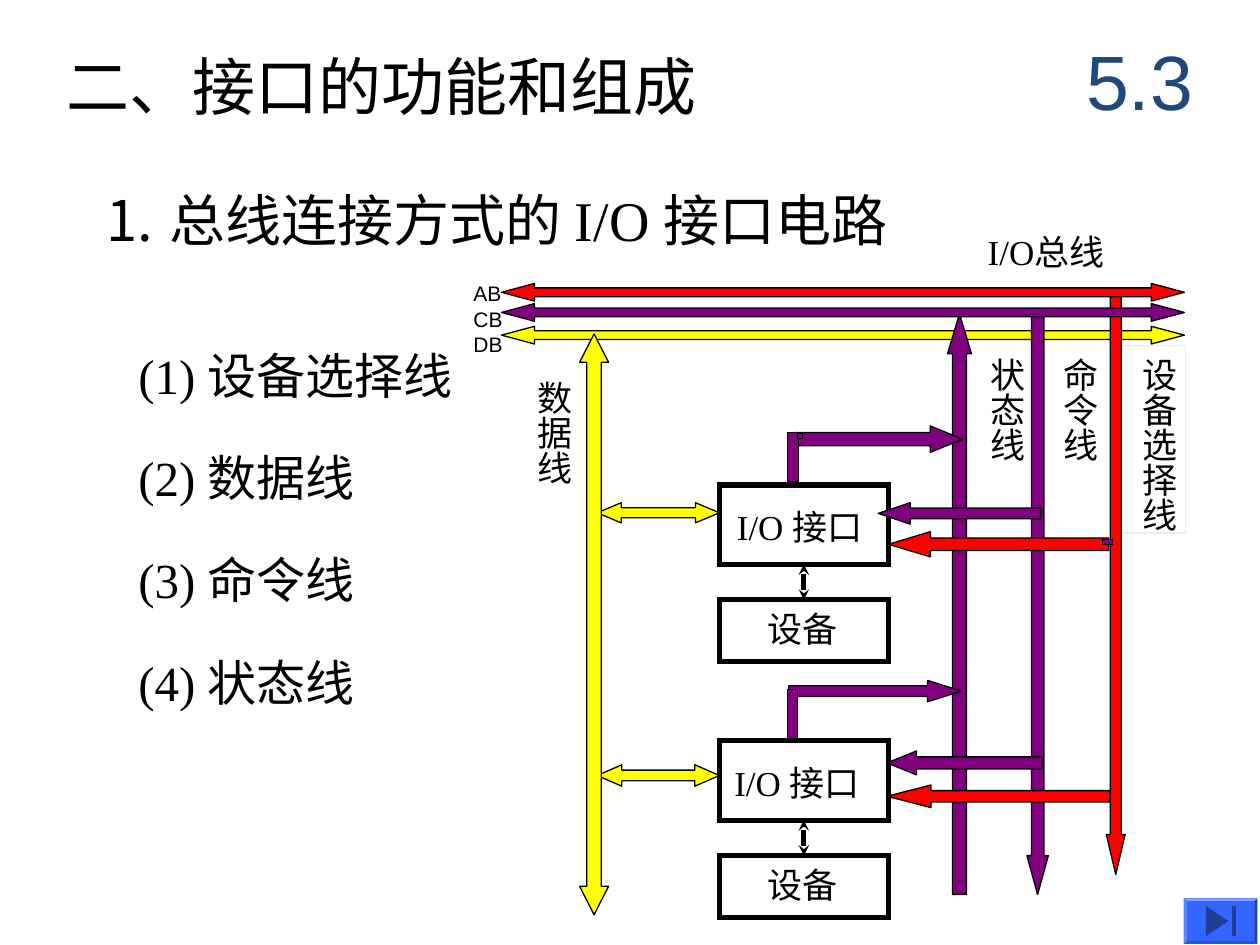
"""Build the slide on I/O interface circuits joined by a bus."""
from dataclasses import dataclass

from lxml import etree
from pptx import Presentation
from pptx.dml.color import RGBColor
from pptx.enum.shapes import MSO_CONNECTOR, MSO_SHAPE
from pptx.enum.text import MSO_ANCHOR, MSO_AUTO_SIZE, PP_ALIGN
from pptx.oxml.ns import qn
from pptx.shapes.autoshape import Shape
from pptx.shapes.shapetree import SlideShapes
from pptx.util import Inches, Pt

RECTANGLE = MSO_SHAPE.RECTANGLE
BOTH_WAYS = MSO_SHAPE.LEFT_RIGHT_ARROW
LEFTWARD = MSO_SHAPE.LEFT_ARROW
UPWARD = MSO_SHAPE.UP_ARROW
STRAIGHT = MSO_CONNECTOR.STRAIGHT
TOP, MIDDLE = MSO_ANCHOR.TOP, MSO_ANCHOR.MIDDLE
LEFT, CENTER = PP_ALIGN.LEFT, PP_ALIGN.CENTER
FIXED = MSO_AUTO_SIZE.NONE

BLACK = RGBColor(0x00, 0x00, 0x00)
WHITE = RGBColor(0xFF, 0xFF, 0xFF)
IVORY = RGBColor(0xEE, 0xEC, 0xE1)
NAVY = RGBColor(0x1F, 0x49, 0x7D)
YELLOW = RGBColor(0xFF, 0xFF, 0x00)
PURPLE = RGBColor(0x80, 0x00, 0x80)
RED = RGBColor(0xFF, 0x00, 0x00)
BUTTON_FACE = RGBColor(0x33, 0x66, 0xFF)
BUTTON_ICON = RGBColor(0x1F, 0x3D, 0x99)
BEVELS = (RGBColor(0x84, 0xA3, 0xFF), RGBColor(0x1F, 0x3D, 0x99),
          RGBColor(0x29, 0x52, 0xCC), RGBColor(0x5C, 0x85, 0xFF))

SERIF, SANS = "Times New Roman", "Arial"
CELL = Inches(0.1)
COLUMNS, ROWS = 100, 75


@dataclass(frozen=True)
class Label:
    """Text in a frame measured in grid columns and rows."""
    text: str
    column: float
    row: float
    width: float
    height: float
    size: int = 20
    outline: RGBColor | None = WHITE
    vertical: bool = False
    font: str = SERIF
    color: RGBColor = BLACK
    align: PP_ALIGN = LEFT
    anchor: MSO_ANCHOR = TOP
    wrap: bool = False
    numbered: bool = False


@dataclass(frozen=True)
class Block:
    """Filled arrow or bar measured in grid columns and rows."""
    kind: MSO_SHAPE
    column: float
    row: float
    width: float
    height: float
    color: RGBColor
    adjustments: tuple[float, ...] = ()
    rotation: int = 0


@dataclass(frozen=True)
class Unit:
    """Interface with its device below."""
    row: float
    caption_column: float


LINES = [("设备选择线", 27.8), ("数据线", 20.1), ("命令线", 20.1), ("状态线", 20.1)]
LABELS = [
    Label("数据线", 40.8, 29.2, 5.3, 9.4, vertical=True),
    Label("AB\nCB\nDB", 36.6, 21.8, 4.3, 7, 12, font=SANS),
    Label("设备选择线", 88.8, 27.4, 5.3, 14.9, outline=IVORY, vertical=True),
    Label("命令线", 82.6, 27.4, 5.3, 9.4, vertical=True),
    Label("状态线", 76.8, 27.4, 5.3, 9.4, vertical=True),
    Label("二、接口的功能和组成", 4.3, 3.3, 52, 7, 36, None),
    *(Label(f"({i + 1}) {name}", 10, 26.9 + 8.13 * i, width, 5.7, 28, None)
      for i, (name, width) in enumerate(LINES)),
    Label("总线连接方式的 I/O 接口电路", 7.5, 14.2, 66.7, 6.4, 32, None,
          wrap=True, numbered=True),
    Label("5.3", 84.2, 1.7, 12.5, 9.2, 44, None, font=SANS, color=NAVY,
          align=CENTER, anchor=MIDDLE, wrap=True),
    Label("I/O总线", 77.4, 17.8, 11.9, 4.4),
]
UNITS = [Unit(58.8, 57.3), Unit(38.5, 57.5)]
DATA_BUS = Block(BOTH_WAYS, 39.8, 25.9, 54.2, 1.4, YELLOW, (0.5, 1.87))
BLOCKS = [
    Block(UPWARD, 75.2, 24.9, 1.9, 46.1, PURPLE, (0.58, 1.67)),
    Block(UPWARD, 81.5, 24.9, 1.7, 46.1, PURPLE, (0.58, 1.82), 180),
    Block(UPWARD, 87.8, 23.3, 1.5, 46.1, RED, (0.58, 2.12), 180),
    Block(LEFTWARD, 70.4, 59.6, 12.3, 1.9, PURPLE, (0.5, 1.23)),
    Block(LEFTWARD, 70.4, 62.3, 17.7, 1.8, RED, (0.5, 1.94)),
    Block(LEFTWARD, 69.7, 39.9, 12.9, 1.7, PURPLE, (0.5, 1.49)),
    Block(LEFTWARD, 70.5, 42.2, 17.5, 2, RED, (0.5, 1.67)),
    Block(LEFTWARD, 62.6, 54, 13.7, 1.7, PURPLE, (0.5, 1.58), 180),
    Block(RECTANGLE, 62.5, 54.7, 0.8, 3.9, PURPLE),
    Block(LEFTWARD, 63, 33.8, 13.4, 2.1, PURPLE, (0.5, 1.23), 180),
    Block(RECTANGLE, 62.5, 34.3, 0.9, 3.9, PURPLE),
    Block(BOTH_WAYS, 47.4, 39.9, 9.7, 1.6, YELLOW, (0.5, 1.19)),
    Block(BOTH_WAYS, 47.4, 60.7, 9.7, 1.7, YELLOW, (0.5, 1.15)),
    Block(RECTANGLE, 87.5, 42.8, 0.8, 0.4, PURPLE),
    Block(RECTANGLE, 63.3, 34.4, 0.4, 0.4, PURPLE, (), 90),
    Block(BOTH_WAYS, 24.1, 48.4, 46.1, 2.3, YELLOW, (0.5, 0.98), 90),
    Block(BOTH_WAYS, 39.8, 24.1, 54.2, 1.4, PURPLE, (0.5, 1.87)),
    Block(BOTH_WAYS, 39.8, 22.5, 54.2, 1.4, RED, (0.5, 1.87)),
]


def grid(*cells: float) -> list[int]:
    """Turn grid counts into slide lengths."""
    return [round(cell * CELL) for cell in cells]


def draw_label(shapes: SlideShapes, label: Label) -> None:
    """Draw one text frame, leaving slack at the end of unwrapped lines."""
    place = grid(label.column, label.row, label.width, label.height)
    if label.outline is None:
        holder = shapes.add_textbox(*place)
    else:
        holder = shapes.add_shape(RECTANGLE, *place)
        holder.shadow.inherit = False
        holder.fill.background()
        holder.line.color.rgb = label.outline
        holder.line.width = Pt(0.75)
    frame = holder.text_frame
    frame.word_wrap = label.wrap
    frame.auto_size = FIXED
    frame.vertical_anchor = label.anchor
    frame.margin_top, frame.margin_bottom = grid(0.5, 0 if label.vertical else 0.5)
    if label.vertical:
        frame.margin_left, frame.margin_right = grid(0.5, 0.5)
        frame._txBody.bodyPr.set("vert", "eaVert")
    else:
        frame.margin_left, frame.margin_right = grid(1, 1 if label.wrap else 0)
    for index, line in enumerate(label.text.split("\n")):
        paragraph = frame.add_paragraph() if index else frame.paragraphs[0]
        paragraph.alignment = label.align
        if label.numbered:
            properties = paragraph._p.get_or_add_pPr()
            properties.set("marL", str(Inches(0.5)))
            properties.set("indent", str(-Inches(0.5)))
            etree.SubElement(properties, qn("a:buAutoNum"), type="arabicPeriod")
        run = paragraph.add_run()
        run.text = line
        run.font.size = Pt(label.size)
        run.font.name = label.font
        run.font.color.rgb = label.color


def draw_block(shapes: SlideShapes, block: Block) -> None:
    """Draw one filled arrow or bar."""
    body = shapes.add_shape(block.kind, *grid(block.column, block.row, block.width, block.height))
    body.shadow.inherit = False
    body.fill.solid()
    body.fill.fore_color.rgb = block.color
    body.line.color.rgb = BLACK
    body.line.width = Pt(0.75)
    body.rotation = block.rotation
    for index, value in enumerate(block.adjustments):
        body.adjustments[index] = value


def draw_frame(shapes: SlideShapes, row: float, height: float) -> Shape:
    """Draw the heavy square-cornered frame of an interface or a device."""
    frame = shapes.add_shape(RECTANGLE, *grid(57.1, row, 13.4, height))
    frame.shadow.inherit = False
    frame.fill.background()
    frame.line.color.rgb = BLACK
    frame.line.width = Pt(3)
    etree.SubElement(frame.line._get_or_add_ln(), qn("a:miter"), lim="800000")
    return frame


def draw_unit(shapes: SlideShapes, unit: Unit) -> None:
    """Draw an interface, its device and the link between them."""
    draw_label(shapes, Label("I/O 接口", unit.caption_column, unit.row + 1.15, 12.6, 4.4))
    interface = draw_frame(shapes, unit.row, 6.3)
    draw_label(shapes, Label("设备", 59.9, unit.row + 9.25, 7.5, 4.4))
    device = draw_frame(shapes, unit.row + 9.1, 4.9)
    link = shapes.add_connector(STRAIGHT, 0, 0, 0, 0)
    link.begin_connect(device, 0)
    link.end_connect(interface, 2)
    link.line.color.rgb = BLACK
    link.line.width = Pt(3)
    for end in ("a:headEnd", "a:tailEnd"):
        etree.SubElement(link.line._get_or_add_ln(), qn(end), type="stealth", w="sm", len="sm")
    etree.SubElement(link._element.spPr, qn("a:effectLst"))


def draw_polygon(shapes: SlideShapes, corners: list[tuple[float, float]], color: RGBColor) -> None:
    """Draw a closed outline with a plain fill."""
    points = [tuple(grid(*corner)) for corner in corners]
    builder = shapes.build_freeform(*points[0])
    builder.add_line_segments(points[1:], close=True)
    polygon = builder.convert_to_shape()
    polygon.shadow.inherit = False
    polygon.fill.solid()
    polygon.fill.fore_color.rgb = color
    polygon.line.fill.background()


def box_corners(left: float, top: float, right: float, bottom: float) -> list[tuple[float, float]]:
    """List the corners of a box clockwise from the top left."""
    return [(left, top), (right, top), (right, bottom), (left, bottom)]


def draw_button(shapes: SlideShapes) -> None:
    """Draw the bevelled button that leads to the end."""
    outer = box_corners(93.95, 71.3, 99.8, 74.9)
    inner = box_corners(94.2, 71.5, 99.6, 74.7)
    draw_polygon(shapes, outer, BUTTON_FACE)
    for side, color in enumerate(BEVELS):
        after = (side + 1) % len(BEVELS)
        draw_polygon(shapes, [outer[side], outer[after], inner[after], inner[side]], color)
    draw_polygon(shapes, [(97.5, 73.1), (95.7, 74.3), (95.7, 71.9)], BUTTON_ICON)
    draw_polygon(shapes, box_corners(97.8, 71.9, 98.1, 74.3), BUTTON_ICON)


def main() -> None:
    """Assemble and save the slide."""
    deck = Presentation()
    deck.slide_width, deck.slide_height = grid(COLUMNS, ROWS)
    shapes = deck.slides.add_slide(deck.slide_layouts[6]).shapes
    for label in LABELS:
        draw_label(shapes, label)
    draw_button(shapes)
    draw_block(shapes, DATA_BUS)
    for unit in UNITS:
        draw_unit(shapes, unit)
    for block in BLOCKS:
        draw_block(shapes, block)
    deck.save("out.pptx")


if __name__ == "__main__":
    main()
